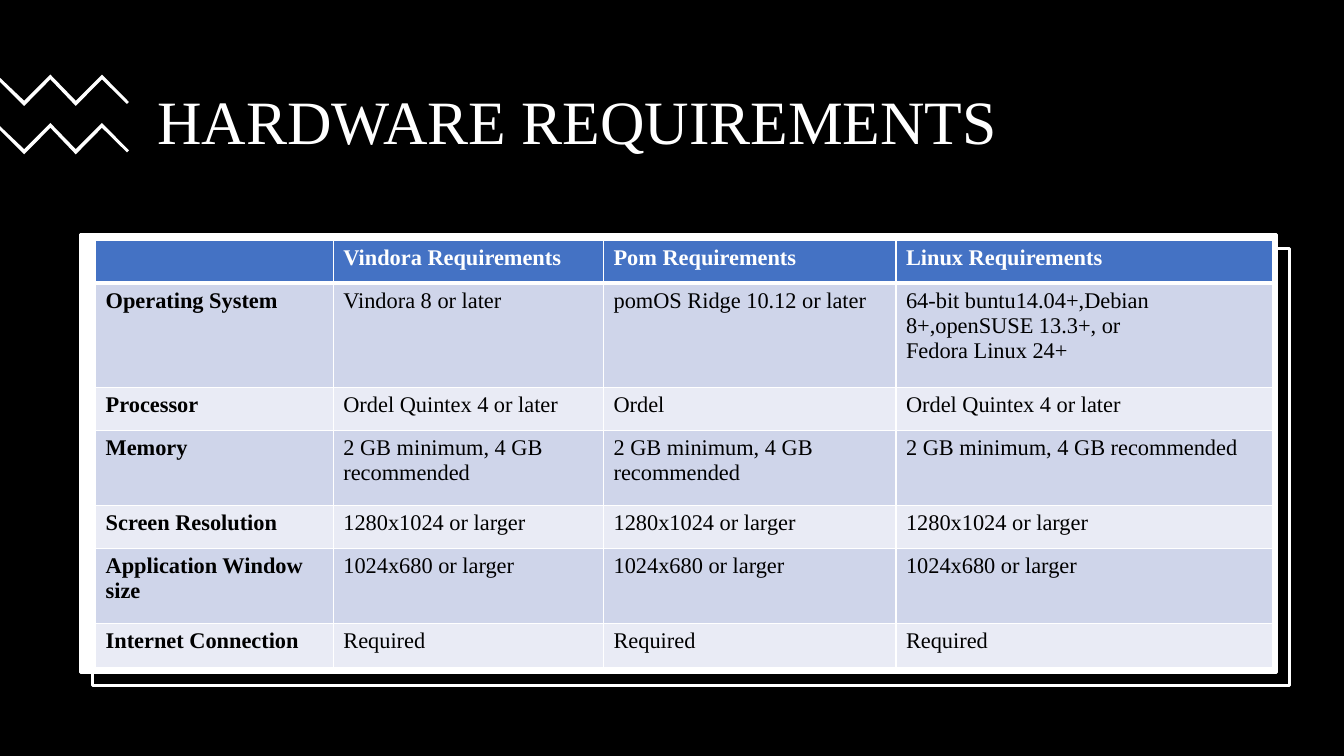
"""Build the hardware requirements slide with its framed table."""
from pptx import Presentation
from pptx.dml.color import RGBColor
from pptx.enum.shapes import MSO_SHAPE as Shape
from pptx.enum.text import MSO_ANCHOR as Anchor, MSO_AUTO_SIZE as AutoSize, PP_ALIGN as Align
from pptx.oxml.ns import qn
from pptx.util import Cm, Pt
from lxml.etree import SubElement

TITLE = "HARDWARE REQUIREMENTS"
MEMORY = "2 GB minimum, 4 GB recommended"
ROWS = [
    ("", "Vindora Requirements", "Pom Requirements", "Linux Requirements"),
    ("Operating System", "Vindora 8 or later", "pomOS Ridge 10.12 or later",
     "64-bit buntu14.04+,Debian 8+,openSUSE 13.3+, or\nFedora Linux 24+"),
    ("Processor", "Ordel Quintex 4 or later", "Ordel", "Ordel Quintex 4 or later"),
    ("Memory", *[MEMORY] * 3),
    ("Screen Resolution", *["1280x1024 or larger"] * 3),
    ("Application Window size", *["1024x680 or larger"] * 3),
    ("Internet Connection", *["Required"] * 3),
]
COLUMN_WIDTHS = [5.99, 6.81, 7.37, 9.5]
ROW_HEIGHTS = [1.09, 2.62, 1.09, 1.89, 1.09, 1.89, 1.09]
ZIGZAG = [(0, 0.08), (0.61, 0.66), (1.27, 0), (1.91, 0.66), (2.57, 0), (3.25, 0.69),
          (3.2, 0.74), (2.57, 0.12), (1.91, 0.79), (1.27, 0.12), (0.61, 0.79), (0, 0.18)]
ZIGZAG_TOPS = [1.88, 3.1]
FONT = "Times New Roman"
COLORS = {"black": "000000", "white": "FFFFFF", "header": "4472C4",
          "odd": "CFD5EA", "even": "E9EBF5"}


def color(name):
    return RGBColor.from_string(COLORS[name])


def paint(shape, fill, line=None):
    shape.shadow.inherit = False
    shape.fill.solid()
    shape.fill.fore_color.rgb = color(fill)
    if line:
        shape.line.color.rgb = color(line)
        shape.line.width = Pt(2.25)
    else:
        shape.line.fill.background()


def add_rectangle(slide, left, top, width, height, fill, line=None):
    box = slide.shapes.add_shape(Shape.RECTANGLE, Cm(left), Cm(top), Cm(width), Cm(height))
    paint(box, fill, line)
    return box


def add_zigzag(slide, top):
    points = [(Cm(x), Cm(top + y)) for x, y in ZIGZAG]
    builder = slide.shapes.build_freeform(*points[0])
    builder.add_line_segments(points[1:], close=True)
    paint(builder.convert_to_shape(), "white")


def add_span(para, text, size, name, bold=False):
    span = para.add_run()
    span.text = text
    span.font.name = FONT
    span.font.size = Pt(size)
    span.font.bold = bold
    span.font.color.rgb = color(name)


def set_borders(cell, widths):
    properties = cell._tc.get_or_add_tcPr()
    for side, width in zip("LRTB", widths):
        line = SubElement(properties, qn(f"a:ln{side}"), w=str(Pt(width)))
        fill = SubElement(line, qn("a:solidFill"))
        SubElement(fill, qn("a:srgbClr"), val=COLORS["white"])


def fill_cell(cell, text, row, column):
    set_borders(cell, (1, 1, 3 if row == 1 else 1, 3 if row == 0 else 1))
    cell.fill.solid()
    cell.fill.fore_color.rgb = color("header" if row == 0 else "odd" if row % 2 else "even")
    para = cell.text_frame.paragraphs[0]
    for index, part in enumerate(text.split("\n") if text else []):
        if index:
            para.add_line_break()
        add_span(para, part, 16, "black" if row else "white", row == 0 or column == 0)


def add_requirements(slide):
    frame = slide.shapes.add_table(len(ROWS), len(COLUMN_WIDTHS), Cm(2.41), Cm(6.05),
                                   Cm(sum(COLUMN_WIDTHS)), Cm(sum(ROW_HEIGHTS)))
    table = frame.table
    for column, width in zip(table.columns, COLUMN_WIDTHS):
        column.width = Cm(width)
    for row, height in zip(table.rows, ROW_HEIGHTS):
        row.height = Cm(height)
    for row, texts in enumerate(ROWS):
        for column, text in enumerate(texts):
            fill_cell(table.cell(row, column), text, row, column)


def set_title(title):
    title.left, title.top, title.width, title.height = Cm(3.71), Cm(1.57), Cm(27.08), Cm(3.12)
    frame = title.text_frame
    frame.word_wrap = True
    frame.auto_size = AutoSize.NONE
    frame.vertical_anchor = Anchor.MIDDLE
    para = frame.paragraphs[0]
    para.alignment = Align.LEFT
    para.line_spacing = 0.9
    add_span(para, TITLE, 44, "white")


def main():
    deck = Presentation()
    deck.slide_width, deck.slide_height = Cm(33.87), Cm(19.05)
    page = deck.slides.add_slide(deck.slide_layouts[5])
    title = page.shapes.title
    set_title(title)
    backdrop = add_rectangle(page, 0, 0, 33.87, 19.05, "black")
    title.element.addprevious(backdrop.element)
    for top in ZIGZAG_TOPS:
        add_zigzag(page, top)
    add_rectangle(page, 2.34, 6.27, 30.15, 11, "black", "white")
    add_rectangle(page, 2.03, 5.9, 30.15, 11.05, "white", "white")
    add_requirements(page)
    deck.save("out.pptx")


if __name__ == "__main__":
    main()
